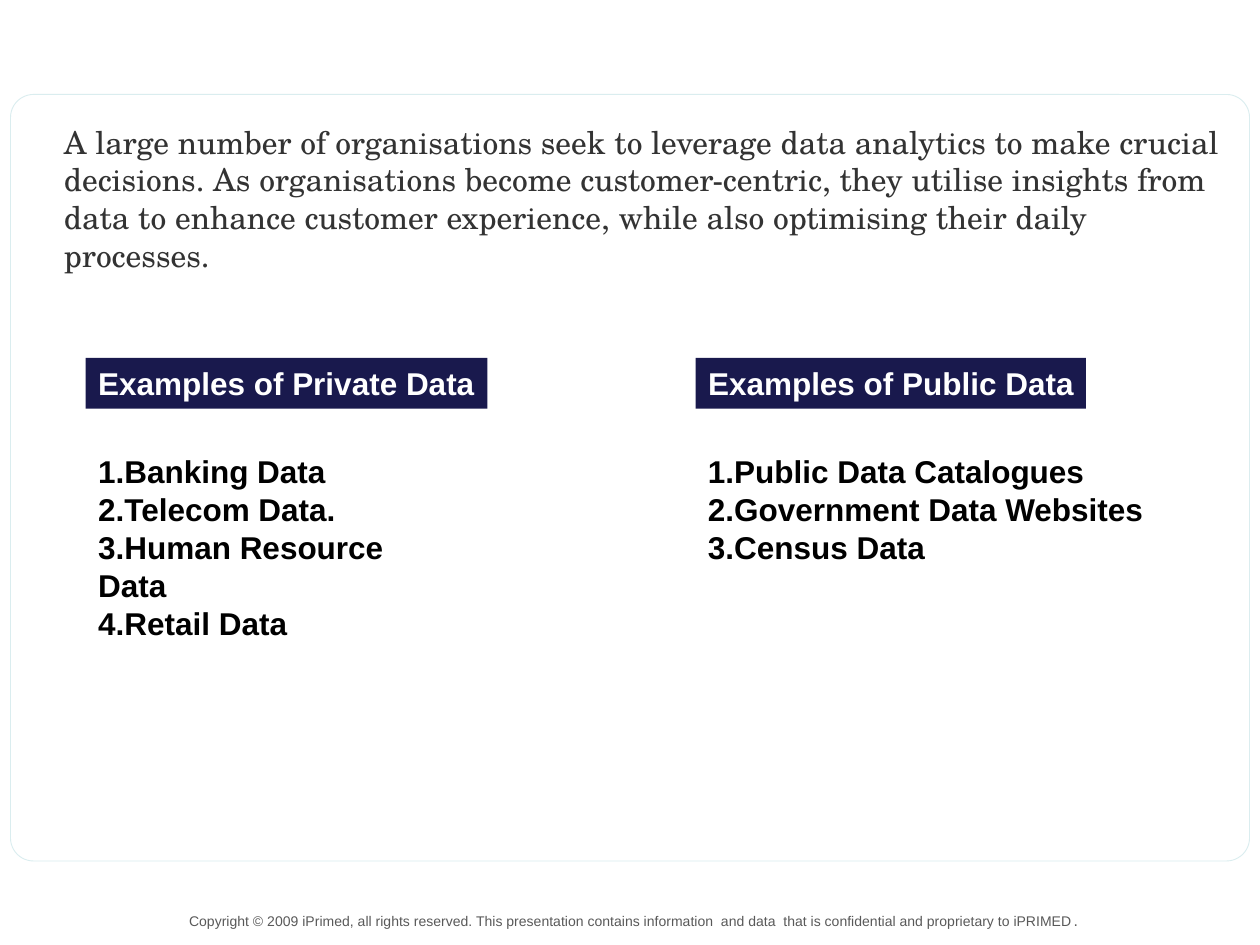
from pptx import Presentation
from pptx.dml.color import RGBColor
from pptx.enum import shapes, text
from pptx.util import Pt

HUES = {"frame": "DAEDEF", "navy": "19194D", "white": "FFFFFF",
        "black": "000000", "body": "333333", "foot": "595959"}

INTRO = ("A large number of organisations seek to leverage data analytics to make "
         "crucial decisions. As organisations become customer-centric, they utilise "
         "insights from data to enhance customer experience, while also optimising "
         "their daily processes.")
FOOT = ("Copyright © 2009 iPrimed, all rights reserved. This presentation contains "
        "information  and data  that is confidential and proprietary to iPRIMED")

# left edge, heading, heading width, list width, items
GROUPS = [
    (49, "Examples of Private Data", 229.5, 221,
     ["Banking Data", "Telecom Data.", "Human Resource Data", "Retail Data"]),
    (397.5, "Examples of Public Data", 223, 263.5,
     ["Public Data Catalogues", "Government Data Websites", "Census Data"]),
]
HEAD_TOP, HEAD_HIGH = 204.5, 29
LIST_TOP, LINE_HIGH, PAD = 255, 21.6, 7.2


def hue(name):
    return RGBColor.from_string(HUES[name])


def write(para, words, size, tint, face="Arial", bold=False):
    run = para.add_run()
    run.text = words
    font = run.font
    font.name, font.size, font.bold = face, Pt(size), bold
    font.color.rgb = hue(tint)


def add_form(slide, kind, box, fill=None, line=None):
    form = slide.shapes.add_shape(kind, *map(Pt, box))
    form.shadow.inherit = False
    if fill:
        form.fill.solid()
        form.fill.fore_color.rgb = hue(fill)
    else:
        form.fill.background()
    if line:
        form.line.color.rgb = hue(line)
        form.line.width = Pt(0.5)
    else:
        form.line.fill.background()
    return form


def add_box(slide, box, wrap=True):
    frame = slide.shapes.add_textbox(*map(Pt, box)).text_frame
    frame.word_wrap = wrap
    return frame


def add_group(slide, left, head, head_wide, list_wide, items):
    bar = add_form(slide, shapes.MSO_SHAPE.RECTANGLE,
                   (left, HEAD_TOP, head_wide, HEAD_HIGH), fill="navy")
    frame = bar.text_frame
    frame.word_wrap = False
    frame.vertical_anchor = text.MSO_ANCHOR.TOP
    frame.paragraphs[0].alignment = text.PP_ALIGN.LEFT
    write(frame.paragraphs[0], head, 18, "white", bold=True)

    high = len(items) * LINE_HIGH + PAD
    frame = add_box(slide, (left, LIST_TOP, list_wide, high), wrap=False)
    for n, item in enumerate(items, 1):
        para = frame.paragraphs[0] if n == 1 else frame.add_paragraph()
        write(para, f"{n}.{item}", 18, "black", bold=True)


def main():
    deck = Presentation()
    deck.slide_width, deck.slide_height = Pt(720), Pt(540)
    slide = deck.slides.add_slide(deck.slide_layouts[6])

    foot = add_box(slide, (2, 506, 720, 40))
    foot.vertical_anchor = text.MSO_ANCHOR.MIDDLE
    para = foot.paragraphs[0]
    para.alignment = text.PP_ALIGN.CENTER
    write(para, FOOT, 8, "foot")
    write(para, ".", 9, "foot")

    panel = add_form(slide, shapes.MSO_SHAPE.ROUNDED_RECTANGLE,
                     (6, 54, 708, 438), line="frame")
    panel.adjustments[0] = 0.03

    intro = add_box(slide, (29.5, 66.5, 684, 115))
    write(intro.paragraphs[0], INTRO, 18, "body", face="TeX Gyre Schola")

    for group in GROUPS:
        add_group(slide, *group)
    deck.save("out.pptx")


if __name__ == "__main__":
    main()
